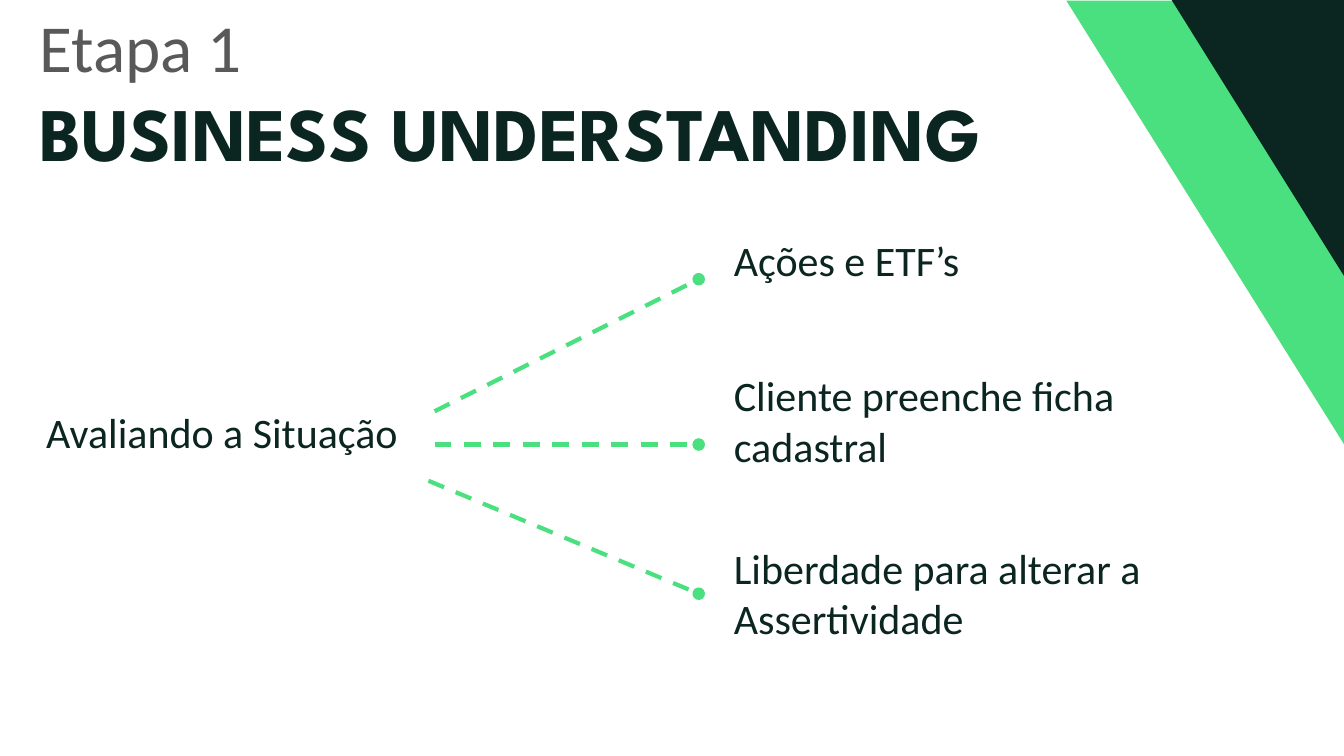
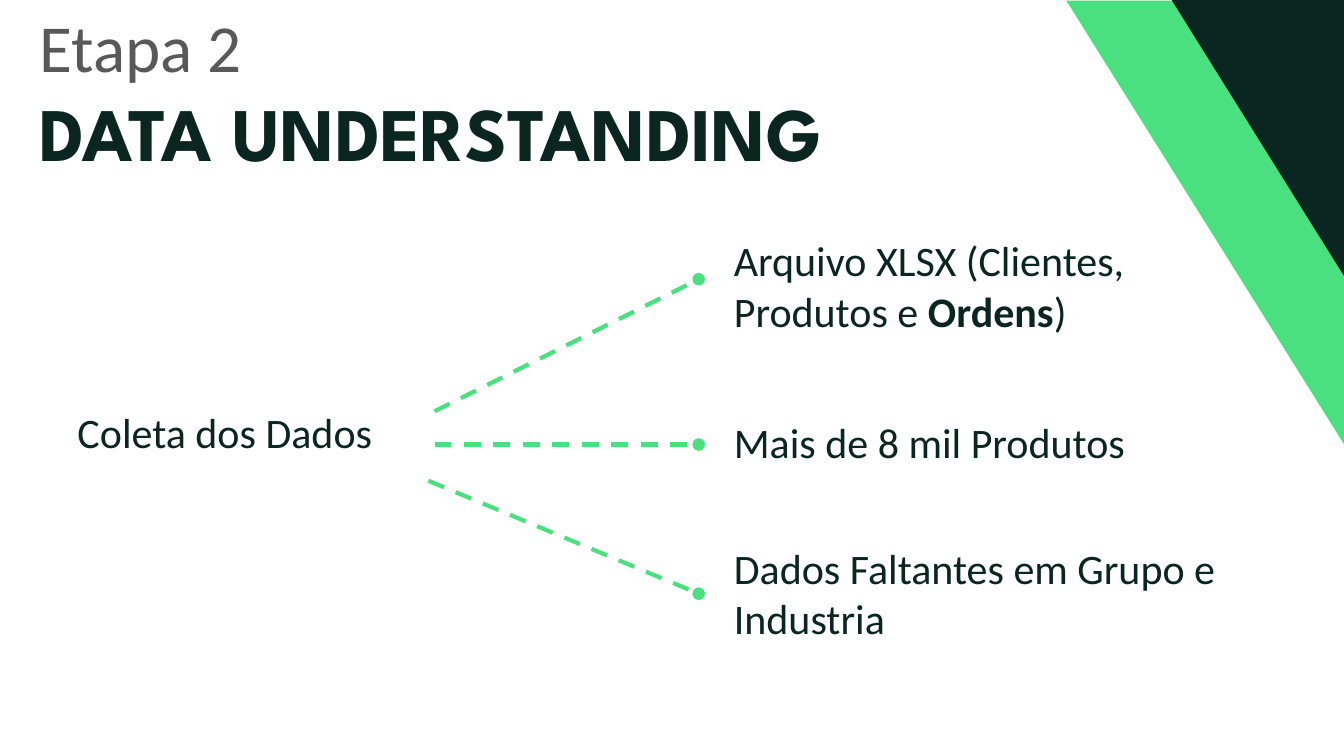
import pptx
import pptx.dml.color
import pptx.enum.dml
import pptx.enum.shapes
import pptx.enum.text
import pptx.oxml.ns
import pptx.util
from lxml import etree

Inches = pptx.util.Inches
Shapes = pptx.enum.shapes.MSO_SHAPE


def rgb(code):
    return pptx.dml.color.RGBColor.from_string(code)


class Style:
    green = "4AE07F"
    dark = "0B2521"
    grey = "595959"
    body_font = "Calibri"
    title_font = "League Spartan"
    body_size = 30
    line_height = 0.5
    box_padding = 0.11

    def __init__(self, deck):
        self.deck = deck
        self.page = None

    def new_page(self, step, title):
        self.page = self.deck.slides.add_slide(self.deck.slide_layouts[5])
        self.title(step, title)
        self.corner()

    def font(self, para, size, color, name, bold=False):
        para.font.size = pptx.util.Pt(size)
        para.font.color.rgb = rgb(color)
        para.font.name = name
        para.font.bold = bold

    def title(self, step, title):
        box = self.page.shapes.title
        box.left, box.top = Inches(0.29), Inches(0)
        box.width, box.height = Inches(10), Inches(1.82)
        frame = box.text_frame
        frame.text = f"{step}\n{title}"
        frame.auto_size = pptx.enum.text.MSO_AUTO_SIZE.NONE
        frame.vertical_anchor = pptx.enum.text.MSO_ANCHOR.TOP
        for para in frame.paragraphs:
            para.alignment = pptx.enum.text.PP_ALIGN.LEFT
        self.font(frame.paragraphs[0], 48, self.grey, self.body_font)
        self.font(frame.paragraphs[1], 54, self.dark, self.title_font, True)

    def shape(self, kind, left, top, width, height, color, rotation):
        shape = self.page.shapes.add_shape(
            kind, Inches(left), Inches(top), Inches(width), Inches(height))
        shape.rotation = rotation
        shape.shadow.inherit = False
        shape.fill.solid()
        shape.fill.fore_color.rgb = rgb(color)
        shape.line.fill.background()
        return shape

    def corner(self):
        stripe = self.shape(Shapes.DIAGONAL_STRIPE, 9.75, 0.83, 4.41, 2.76, self.green, 90)
        stripe.adjustments[0] = 0.373
        self.shape(Shapes.RIGHT_TRIANGLE, 11.62, 0, 1.73, 2.77, self.dark, 180)

    def label(self, left, top, width, lines, spans):
        height = self.box_padding + lines * self.line_height
        box = self.page.shapes.add_textbox(
            Inches(left), Inches(top), Inches(width), Inches(height))
        box.text_frame.word_wrap = True
        para = box.text_frame.paragraphs[0]
        self.font(para, self.body_size, self.dark, self.body_font)
        for text, bold in spans:
            span = para.add_run()
            span.text = text
            if bold:
                span.font.bold = True

    def branch(self, start, end):
        line = self.page.shapes.add_connector(
            pptx.enum.shapes.MSO_CONNECTOR.STRAIGHT,
            *[Inches(length) for length in start + end])
        line.line.color.rgb = rgb(self.green)
        line.line.width = pptx.util.Pt(3)
        line.line.dash_style = pptx.enum.dml.MSO_LINE.DASH
        properties = line._element.spPr
        outline = properties.find(pptx.oxml.ns.qn("a:ln"))
        etree.SubElement(outline, pptx.oxml.ns.qn("a:tailEnd"), type="oval")
        etree.SubElement(properties, pptx.oxml.ns.qn("a:effectLst"))


BRANCHES = [
    ((4.31, 4.08), (6.93, 2.77)),
    ((4.31, 4.41), (6.93, 4.41)),
    ((4.25, 4.77), (6.93, 5.89)),
]
POINT_LEFT = 7.18
POINT_WIDTHS = [4.45, 4.92, 5.11]

STEPS = [
    {
        "step": "Etapa 1",
        "title": "BUSINESS UNDERSTANDING",
        "topic": "Avaliando a Situação",
        "topic_left": 0.36,
        "points": [
            (2.28, 1, [("Ações e ETF’s", False)]),
            (3.62, 2, [("Cliente preenche ficha cadastral", False)]),
            (5.33, 2, [("Liberdade para alterar a Assertividade", False)]),
        ],
    },
    {
        "step": "Etapa 2",
        "title": "DATA UNDERSTANDING",
        "topic": "Coleta dos Dados",
        "topic_left": 0.67,
        "points": [
            (2.28, 2, [("Arquivo XLSX (Clientes, Produtos e ", False),
                       ("Ordens", True), (")", False)]),
            (4.08, 1, [("Mais de 8 mil Produtos", False)]),
            (5.33, 2, [("Dados Faltantes em Grupo e Industria", False)]),
        ],
    },
]

deck = pptx.Presentation()
deck.slide_width, deck.slide_height = Inches(13.33), Inches(7.5)
style = Style(deck)

for step in STEPS:
    style.new_page(step["step"], step["title"])
    style.label(step["topic_left"], 3.98, 3.89, 1, [(step["topic"], False)])
    for (start, end), width, (top, lines, spans) in zip(BRANCHES, POINT_WIDTHS, step["points"]):
        style.branch(start, end)
        style.label(POINT_LEFT, top, width, lines, spans)

deck.save("out.pptx")
